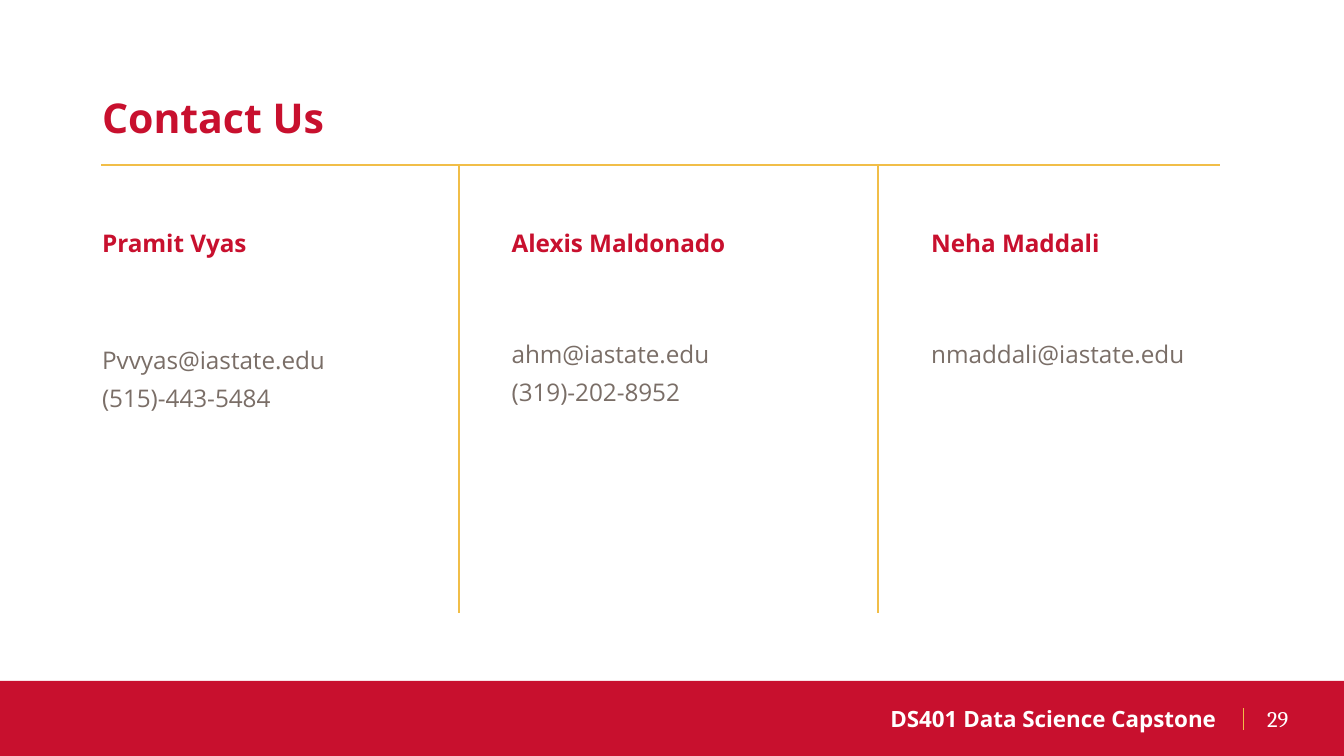
from pptx import Presentation
from pptx.dml.color import RGBColor
from pptx.enum.shapes import MSO_CONNECTOR, MSO_SHAPE
from pptx.enum.text import MSO_ANCHOR as ANCHOR, PP_ALIGN as ALIGN
from pptx.oxml.ns import qn
from pptx.util import Cm, Pt
from lxml.etree import SubElement

RED = RGBColor(0xC8, 0x10, 0x2E)
GOLD = RGBColor(0xF1, 0xBE, 0x48)
GRAY = RGBColor(0x7A, 0x6E, 0x67)
WHITE = RGBColor(0xFF, 0xFF, 0xFF)


class ContactSlide:
    font = "Open Sans"

    def __init__(self, slide):
        self.slide = slide

    def style(self, p, size, color, bold=False, font=None):
        for r in p.runs:
            r.font.name = font or self.font
            r.font.size = Pt(size)
            r.font.bold = bold
            r.font.color.rgb = color

    def rect(self, x, y, w, h, fill):
        sp = self.slide.shapes.add_shape(MSO_SHAPE.RECTANGLE, Cm(x), Cm(y), Cm(w), Cm(h))
        sp.shadow.inherit = False
        sp.fill.solid()
        sp.fill.fore_color.rgb = fill
        sp.line.fill.background()
        return sp

    def text(self, x, y, w, h, text, size, color, bold=False, font=None,
             align=ALIGN.LEFT, anchor=ANCHOR.TOP):
        tf = self.slide.shapes.add_textbox(Cm(x), Cm(y), Cm(w), Cm(h)).text_frame
        tf.word_wrap = True
        tf.vertical_anchor = anchor
        tf.text = text
        p = tf.paragraphs[0]
        p.alignment = align
        self.style(p, size, color, bold, font)

    def line(self, x1, y1, x2, y2, width=1):
        cxn = self.slide.shapes.add_connector(
            MSO_CONNECTOR.STRAIGHT, Cm(x1), Cm(y1), Cm(x2), Cm(y2))
        cxn.line.color.rgb = GOLD
        cxn.line.width = Pt(width)
        SubElement(cxn._element.spPr, qn("a:effectLst"))

    def contact(self, x, w, name, details, gap):
        tf = self.rect(x, 4.19, w, 5.51, WHITE).text_frame
        tf.word_wrap = True
        tf.vertical_anchor = ANCHOR.TOP
        tf.text = "\n".join([name, *details])
        for i, p in enumerate(tf.paragraphs):
            p.alignment = ALIGN.LEFT
            self.style(p, 13, GRAY if i else RED, bold=i == 0)
            if i:
                p.line_spacing = 1.32
            if i == 1:
                p.space_before = Pt(gap)


def main():
    prs = Presentation()
    prs.slide_width, prs.slide_height = Cm(25.4), Cm(14.29)
    s = ContactSlide(prs.slides.add_slide(prs.slide_layouts[6]))

    s.rect(0, 12.87, 25.4, 1.42, RED)
    s.text(11.61, 13.2, 11.63, 0.79, "DS401 Data Science Capstone", 12, WHITE,
           bold=True, align=ALIGN.RIGHT)
    s.text(23.7, 13.21, 1.47, 0.76, "29", 12, WHITE, font="Cambria", anchor=ANCHOR.MIDDLE)
    s.line(23.5, 13.39, 23.5, 13.79, 0.75)

    s.text(1.68, 1.63, 21.54, 2.24, "Contact Us", 22, RED, bold=True)
    contacts = [
        (1.68, 6.38, "Pramit Vyas", ["Pvvyas@iastate.edu", "(515)-443-5484"], 42),
        (9.42, 6.53, "Alexis Maldonado", ["ahm@iastate.edu", "(319)-202-8952"], 38.7),
        (17.35, 5.72, "Neha Maddali", ["nmaddali@iastate.edu"], 38.7),
    ]
    for contact in contacts:
        s.contact(*contact)

    s.line(1.91, 3.12, 23.06, 3.12)
    for x in (8.68, 16.6):
        s.line(x, 3.12, x, 11.58)

    prs.save("out.pptx")


if __name__ == "__main__":
    main()
